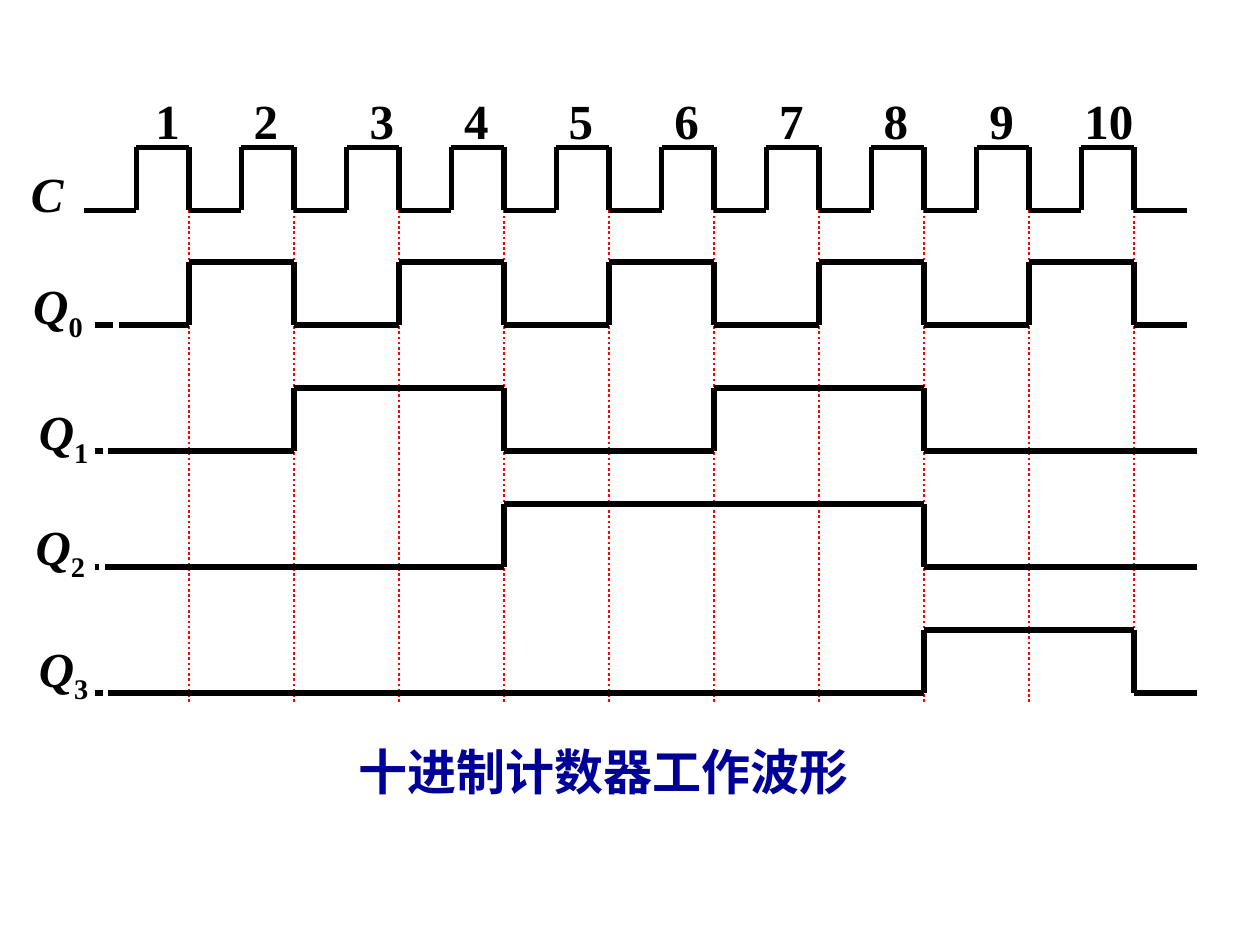
"""Timing diagram of a decimal counter: clock C and outputs Q0 to Q3."""
from dataclasses import dataclass

from lxml import etree
from pptx import Presentation
from pptx.dml.color import RGBColor
from pptx.enum import dml, shapes, text
from pptx.oxml.ns import qn
from pptx.util import Inches, Pt

BLACK, RED, WHITE, NAVY = "000000", "FF0000", "FFFFFF", "000099"
FIRST_EDGE, PERIOD, SWING = 1.5, 5 / 6, 0.5
CLOCK_LOW, PULSES = 1.67, 10


@dataclass(frozen=True)
class Box:
    left: float
    top: float
    width: float
    height: float = 0.61


@dataclass(frozen=True)
class Signal:
    name: str
    subscript: str
    label: Box
    low: float
    start: float
    end: float
    toggles: tuple[float, ...]


def edge(pulse: float) -> float:
    """Return the x position of the falling clock edge of a pulse."""
    return FIRST_EDGE + (pulse - 1) * PERIOD


def colour(value: str) -> RGBColor:
    """Turn a hex string into a colour."""
    return RGBColor.from_string(value)


def add_line(x1: float, y1: float, x2: float, y2: float, *,
             stroke: str = BLACK, width: float = 3, dotted: bool = False) -> None:
    """Draw a straight line without shadow."""
    line = slide.shapes.add_connector(
        shapes.MSO_CONNECTOR.STRAIGHT, Inches(x1), Inches(y1), Inches(x2), Inches(y2))
    line.line.color.rgb = colour(stroke)
    line.line.width = Pt(width)
    if dotted:
        line.line.dash_style = dml.MSO_LINE.ROUND_DOT
    etree.SubElement(line._element.spPr, qn("a:effectLst"))


def add_text(content: str, box: Box, *, subscript: str = "", size: float = 28,
             ink: str = BLACK, italic: bool = False, outlined: bool = True) -> None:
    """Write centred bold text with an optional subscript."""
    shape = slide.shapes.add_shape(
        shapes.MSO_SHAPE.RECTANGLE, Inches(box.left), Inches(box.top),
        Inches(box.width), Inches(box.height))
    shape.shadow.inherit = False
    shape.fill.background()
    if outlined:
        shape.line.color.rgb = colour(WHITE)
        shape.line.width = Pt(3)
    else:
        shape.line.fill.background()
    frame = shape.text_frame
    frame.word_wrap = False
    frame.vertical_anchor = text.MSO_ANCHOR.MIDDLE
    paragraph = frame.paragraphs[0]
    paragraph.alignment = text.PP_ALIGN.CENTER
    for part, slanted, baseline in ((content, italic, None), (subscript, False, "-25000")):
        if not part:
            continue
        run = paragraph.add_run()
        run.text = part
        run.font.name = "Times New Roman"
        run.font.size = Pt(size)
        run.font.bold = True
        run.font.italic = slanted
        run.font.color.rgb = colour(ink)
        if baseline:
            run._r.get_or_add_rPr().set("baseline", baseline)


def add_wave(signal: Signal) -> None:
    """Draw a signal that starts low and changes level at every toggle."""
    x, y = signal.start, signal.low
    for pulse in signal.toggles:
        other = signal.low - SWING if y == signal.low else signal.low
        add_line(x, y, edge(pulse), y)
        add_line(edge(pulse), y, edge(pulse), other)
        x, y = edge(pulse), other
    add_line(x, y, signal.end, y)


CLOCK = Signal("C", "", Box(0, 1.25, 0.75, 0.57), CLOCK_LOW, 0.67, 9.42,
               tuple(0.5 + half / 2 for half in range(2 * PULSES)))
OUTPUTS = (
    Signal("Q", "0", Box(0, 2.15, 0.92), 2.58, FIRST_EDGE, 9.42, tuple(range(1, 11))),
    Signal("Q", "1", Box(0.17, 3.15, 0.67), 3.58, FIRST_EDGE, 9.5, (2, 4, 6, 8)),
    Signal("Q", "2", Box(0.15, 4.06, 0.66), 4.5, FIRST_EDGE, 9.5, (4, 8)),
    Signal("Q", "3", Box(0.17, 5.03, 0.67), 5.5, FIRST_EDGE, 9.5, (8, 10)),
)
PULSE_CENTRES = (1.33, 2.11, 3.03, 3.78, 4.61, 5.45, 6.28, 7.11, 7.95, 8.8)

presentation = Presentation()
presentation.slide_width, presentation.slide_height = Inches(10), Inches(7.5)
slide = presentation.slides.add_slide(presentation.slide_layouts[6])

for pulse in range(1, PULSES + 1):
    bottom = 5.5 if pulse == PULSES else 5.58
    add_line(edge(pulse), CLOCK_LOW, edge(pulse), bottom,
             stroke=RED, width=1.5, dotted=True)

for output in OUTPUTS:
    add_line(0.75, output.low, FIRST_EDGE, output.low)
for signal in (*OUTPUTS, CLOCK):
    add_text(signal.name, signal.label, subscript=signal.subscript, italic=True,
             outlined=signal is not CLOCK)

for pulse, centre in enumerate(PULSE_CENTRES, start=1):
    width = 0.64 if pulse == PULSES else 0.45
    add_text(str(pulse), Box(centre - width / 2, 0.65, width))

for signal in (CLOCK, *OUTPUTS):
    add_wave(signal)

add_text("十进制计数器工作波形", Box(2.72, 5.81, 4.14), ink=NAVY)

presentation.save("out.pptx")
